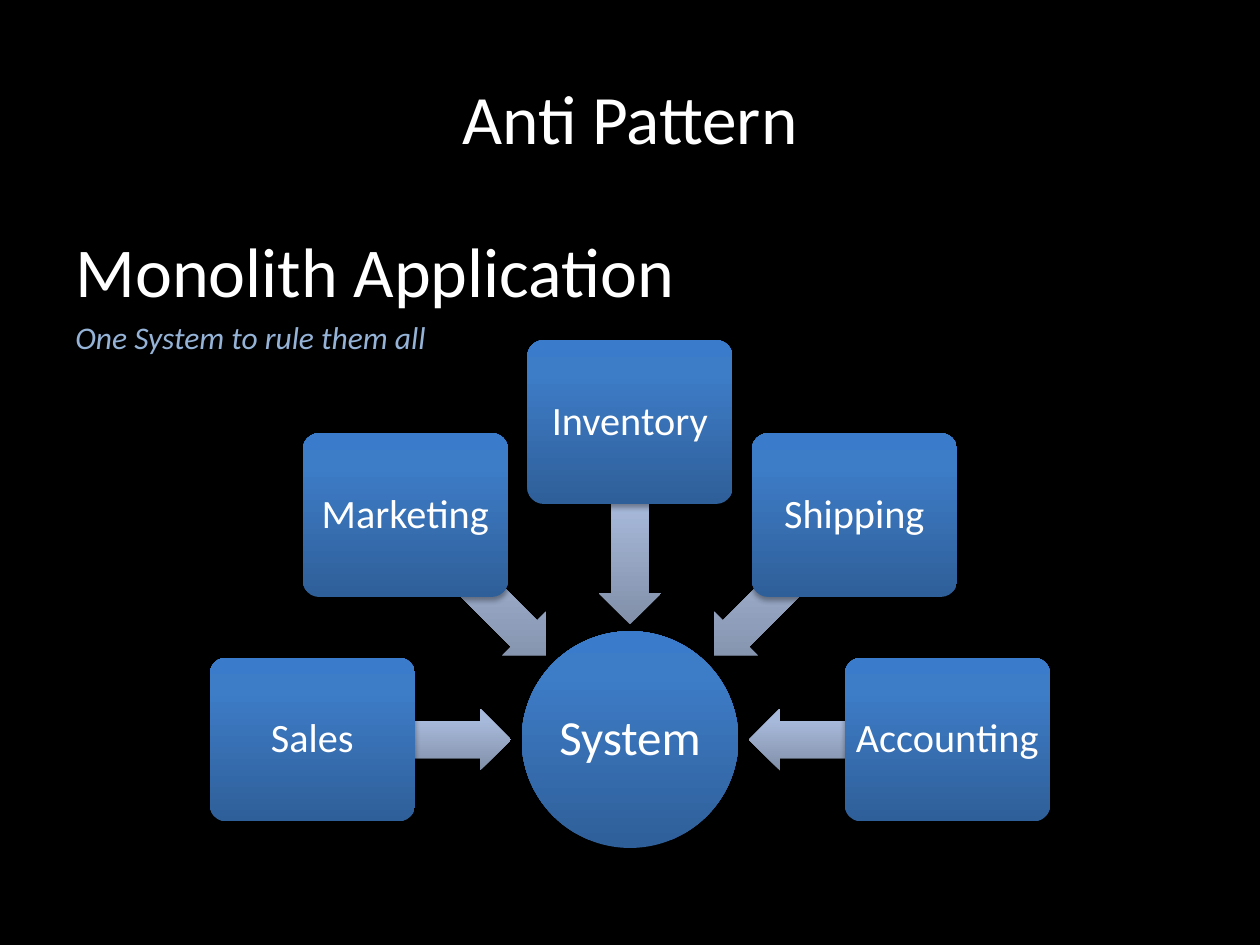
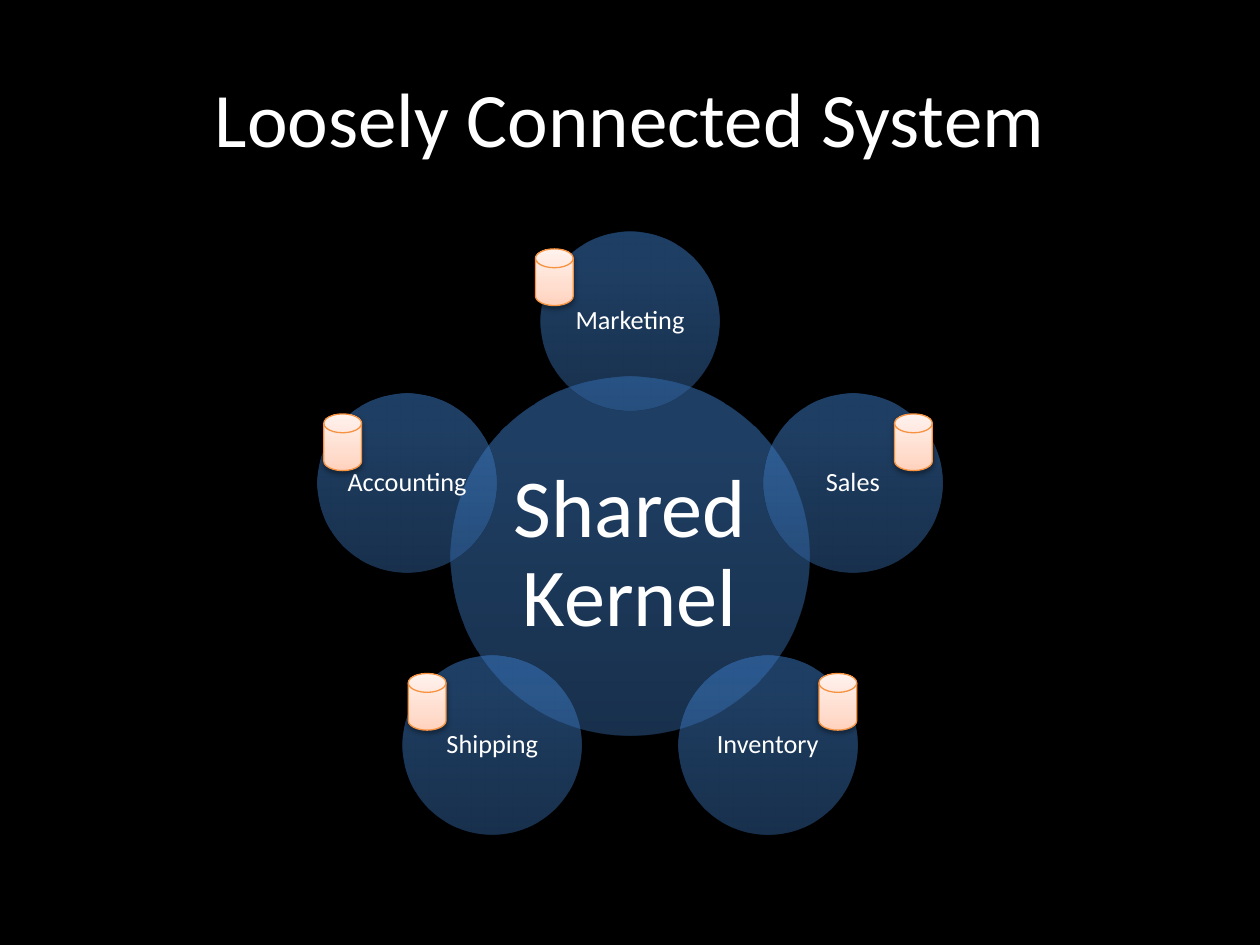
from math import cos, radians, sin

from pptx import Presentation
from pptx.dml.color import RGBColor
from pptx.enum.shapes import MSO_SHAPE
from pptx.enum.text import MSO_ANCHOR, PP_ALIGN
from pptx.oxml import parse_xml
from pptx.oxml.ns import nsdecls
from pptx.util import Inches, Pt

FONT = "Calibri"
BLACK, WHITE = "000000", "FFFFFF"
PALE_BLUE, ORANGE = "95B3D7", "F69240"
BLUE_STOPS = [(0, "2F5F99"), (80, "3D7CC7"), (100, "3A7CCB")]
GREY_STOPS = [(0, "818FA8"), (80, "A7B9DA"), (100, "A7BADC")]
PEACH_STOPS = [(0, "FFD2BD"), (35, "FFDED0"), (100, "FFF2ED")]


def color(value):
    return RGBColor.from_string(value)


def orbit(center, radius, angle):
    x, y = center
    return x + radius * cos(radians(angle)), y + radius * sin(radians(angle))


class Deck:
    def __init__(self):
        self.presentation = Presentation()
        self.presentation.slide_width = Inches(10)
        self.presentation.slide_height = Inches(7.5)
        self.slide = None

    def add_slide(self, title, title_size):
        self.slide = self.presentation.slides.add_slide(self.presentation.slide_layouts[6])
        fill = self.slide.background.fill
        fill.solid()
        fill.fore_color.rgb = color(BLACK)
        frame = self.text_frame(0.5, 0.3, 9, 1.25)
        frame.vertical_anchor = MSO_ANCHOR.MIDDLE
        self.set_text(frame.paragraphs[0], title, title_size, PP_ALIGN.CENTER)

    def text_frame(self, left, top, width, height):
        box = self.slide.shapes.add_textbox(Inches(left), Inches(top), Inches(width), Inches(height))
        box.text_frame.word_wrap = True
        return box.text_frame

    def set_text(self, paragraph, text, size, alignment=PP_ALIGN.LEFT, ink=WHITE):
        paragraph.text = text
        paragraph.alignment = alignment
        paragraph.font.name = FONT
        paragraph.font.size = Pt(size)
        paragraph.font.color.rgb = color(ink)

    def body(self, heading, tagline):
        frame = self.text_frame(0.5, 1.76, 9, 4.95)
        self.set_text(frame.paragraphs[0], heading, 40)
        paragraph = frame.add_paragraph()
        self.set_text(paragraph, tagline, 18, ink=PALE_BLUE)
        paragraph.font.italic = True
        paragraph.space_before = Pt(3.6)

    def gradient(self, shape, stops, opacity):
        stop_xml = "".join(
            f'<a:gs pos="{position * 1000}"><a:srgbClr val="{value}">'
            f'<a:alpha val="{opacity * 1000}"/></a:srgbClr></a:gs>'
            for position, value in stops
        )
        shape._element.spPr.append(parse_xml(
            f'<a:gradFill {nsdecls("a")} rotWithShape="0"><a:gsLst>{stop_xml}</a:gsLst>'
            '<a:lin ang="16200000" scaled="0"/></a:gradFill>'
        ))

    def shadow(self, shape, opacity, distance):
        shape._element.spPr.effectLst.append(parse_xml(
            f'<a:outerShdw {nsdecls("a")} blurRad="{Pt(3.1)}" dist="{Pt(distance)}" '
            'dir="5400000" rotWithShape="0"><a:srgbClr val="000000">'
            f'<a:alpha val="{opacity * 1000}"/></a:srgbClr></a:outerShdw>'
        ))

    def shape(self, kind, center, width, height, stops, opacity=100, adjustments=()):
        x, y = center
        shape = self.slide.shapes.add_shape(
            kind, Inches(x - width / 2), Inches(y - height / 2), Inches(width), Inches(height)
        )
        for index, value in enumerate(adjustments):
            shape.adjustments[index] = value
        self.gradient(shape, stops, opacity)
        shape.line.fill.background()
        shape.shadow.inherit = False
        return shape

    def label(self, shape, text, size):
        frame = shape.text_frame
        frame.word_wrap = True
        frame.vertical_anchor = MSO_ANCHOR.MIDDLE
        frame.margin_left = frame.margin_right = frame.margin_top = frame.margin_bottom = 0
        paragraph = frame.paragraphs[0]
        self.set_text(paragraph, text, size, PP_ALIGN.CENTER)
        paragraph.line_spacing = 0.9

    def circle(self, center, diameter, text, size, opacity=100):
        circle = self.shape(MSO_SHAPE.OVAL, center, diameter, diameter, BLUE_STOPS, opacity)
        self.label(circle, text, size)
        return circle

    def module(self, center, text):
        box = self.shape(MSO_SHAPE.ROUNDED_RECTANGLE, center, 1.63, 1.3, BLUE_STOPS,
                         adjustments=[0.1])
        self.shadow(box, 35, 1.8)
        self.label(box, text, 23)

    def arrow(self, center, length, angle):
        arrow = self.shape(MSO_SHAPE.LEFT_ARROW, center, length, 0.49, GREY_STOPS,
                           adjustments=[0.6, 0.5])
        arrow.rotation = angle % 360
        self.shadow(arrow, 35, 1.8)

    def database(self, center):
        disk = self.shape(MSO_SHAPE.FLOWCHART_MAGNETIC_DISK, center, 0.3, 0.45, PEACH_STOPS)
        disk.line.color.rgb = color(ORANGE)
        disk.line.width = Pt(0.75)
        self.shadow(disk, 38, 1.6)


def monolith_slide(deck):
    deck.add_slide("Anti Pattern", 39.6)
    deck.body("Monolith Application", "One System to rule them all")
    hub = (5, 5.87)
    deck.shadow(deck.circle(hub, 1.72, "System", 28), 35, 1.8)
    modules = ["Sales", "Marketing", "Inventory", "Shipping", "Accounting"]
    for index, name in enumerate(modules):
        angle = 180 + 45 * index
        length, distance = (1.19, 1.51) if name == "Inventory" else (1.57, 1.73)
        deck.arrow(orbit(hub, distance, angle), length, angle)
        deck.module(orbit(hub, 2.52, angle), name)


def shared_kernel_slide(deck):
    deck.add_slide("Loosely Connected System", 44)
    hub = (5, 4.41)
    deck.circle(hub, 2.85, "Shared Kernel", 47, opacity=50)
    modules = ["Marketing", "Sales", "Inventory", "Shipping", "Accounting"]
    for index, name in enumerate(modules):
        deck.circle(orbit(hub, 1.86, 72 * index - 90), 1.42, name, 15, opacity=50)
    for center in [(4.4, 2.2), (7.25, 3.51), (6.65, 5.57), (3.39, 5.57), (2.72, 3.51)]:
        deck.database(center)


deck = Deck()
monolith_slide(deck)
shared_kernel_slide(deck)
deck.presentation.save("out.pptx")
